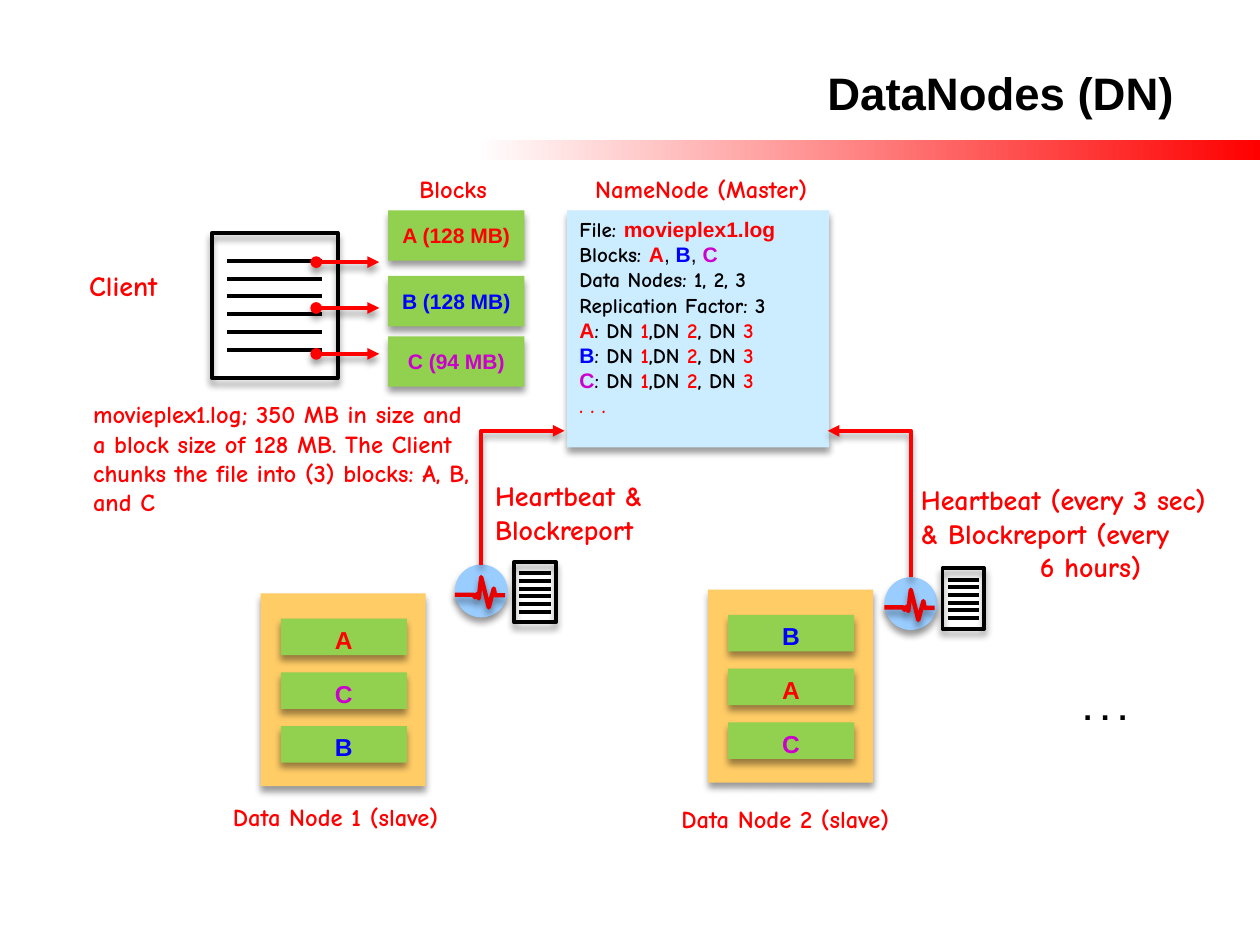
from lxml import etree
from pptx import Presentation
from pptx.dml.color import RGBColor
from pptx.enum.shapes import MSO_CONNECTOR, MSO_SHAPE
from pptx.enum.text import MSO_ANCHOR, PP_ALIGN
from pptx.oxml.ns import qn
from pptx.util import Pt

RECT, CIRCLE = MSO_SHAPE.RECTANGLE, MSO_SHAPE.FLOWCHART_CONNECTOR
STRAIGHT = MSO_CONNECTOR.STRAIGHT
TOP, MIDDLE = MSO_ANCHOR.TOP, MSO_ANCHOR.MIDDLE
LEFT, CENTER, RIGHT = PP_ALIGN.LEFT, PP_ALIGN.CENTER, PP_ALIGN.RIGHT
BLACK, WHITE = RGBColor(0, 0, 0), RGBColor(255, 255, 255)
RED, BLUE = RGBColor(255, 0, 0), RGBColor(0, 0, 255)
PURPLE, PULSE_RED = RGBColor(0xCC, 0, 0xCC), RGBColor(0xE7, 0, 0)
GREEN, ORANGE = RGBColor(0x92, 0xD0, 0x50), RGBColor(0xFF, 0xCC, 0x66)
PALE_BLUE, SKY = RGBColor(0xCC, 0xEC, 0xFF), RGBColor(0x99, 0xCC, 0xFF)
SANS, COMIC = "Arial", "Comic Neue"

# Content: a run is (text, colour, font, bold), missing parts take the defaults
BLOCK_COLORS = {"A": RED, "B": BLUE, "C": PURPLE}
BLOCKS = [("A (128 MB)", RED, 120.2), ("B (128 MB)", BLUE, 157.7),
          ("C (94 MB)", PURPLE, 192.2)]


def letter(name):
    return (name, BLOCK_COLORS[name], SANS)


COMMA = (", ", BLACK, SANS, False)
NAME_NODE = [
    [("File: ",), ("movieplex1.log", RED, SANS)],
    [("Blocks: ",), letter("A"), COMMA, letter("B"), COMMA, letter("C")],
    [("Data Nodes: 1, 2, 3",)],
    [("Replication Factor: 3",)],
    *[[letter(b), (": DN ",), ("1", RED), (",DN ",), ("2", RED),
       (", DN ",), ("3", RED)] for b in "ABC"],
    [(". . .", RED)],
]
# Text, left, top, width, height, size, alignment
LABELS = [
    (["Client"], 43.9, 149.8, 60, 46, 16, LEFT),
    (["Blocks"], 232.6, 95.8, 62, 24.5, 14, LEFT),
    (["NameNode (Master)"], 324, 95.8, 153.4, 24.5, 14, CENTER),
    (["movieplex1.log; 350 MB in size and a block size of 128 MB. The Client "
      "chunks the file into (3) blocks: A, B, and C"],
     46.1, 224.6, 235.4, 74.9, 14, LEFT),
    (["Heartbeat &", "Blockreport"], 275.8, 270, 104.4, 46, 16, LEFT),
    (["Heartbeat (every 3 sec)", "& Blockreport (every", "6 hours)"],
     519.1, 272.2, 190, 65.5, 16, LEFT),
]
# Each data node: name, box, caption, monitor, report page, arrow end x
DATA_NODES = [
    ("Data Node 1 (slave)", "ACB", (149, 339.1), (126, 455),
     (259.9, 322.6), (293.8, 321.1), 322.6),
    ("Data Node 2 (slave)", "BAC", (404.6, 337), (382.3, 455.8),
     (505.4, 329.8), (538.6, 324.7), 473),
]
PULSE = [(0, 17.3), (10.8, 17.3), (11.5, 18.7), (12.6, 16.9), (13.7, 19.4),
         (15.1, 7.2), (19.4, 24.5), (22.3, 13.7), (23, 17.6), (28.8, 17.6)]
ARROW_Y = 246.2

prs = Presentation()
prs.slide_width, prs.slide_height = Pt(720), Pt(540)
s = prs.slides.add_slide(prs.slide_layouts[5])


def set_effect(sp, shadow):
    """Give a shape a soft drop shadow, or none at all."""
    effects = etree.SubElement(sp._element.spPr, qn("a:effectLst"))
    if shadow:
        outer = etree.SubElement(effects, qn("a:outerShdw"), blurRad="50800",
                                 dist="38100", dir="5400000", rotWithShape="0")
        clr = etree.SubElement(outer, qn("a:srgbClr"), val="000000")
        etree.SubElement(clr, qn("a:alpha"), val="40000")


def set_line(sp, color, width, **ends):
    sp.line.color.rgb = color
    sp.line.width = Pt(width)
    ln = sp.line._get_or_add_ln()
    for end, kind in ends.items():
        etree.SubElement(ln, qn("a:" + end), type=kind, w="med", len="med")


def write(sp, paragraphs, size=14, color=BLACK, font=COMIC, align=LEFT,
          anchor=TOP):
    tf = sp.text_frame
    tf.word_wrap, tf.vertical_anchor = True, anchor
    for i, runs in enumerate(paragraphs):
        p = tf.paragraphs[0] if i == 0 else tf.add_paragraph()
        p.alignment = align
        p.space_before = Pt(0)
        for run in [(runs,)] if isinstance(runs, str) else runs:
            text, c, f, bold = run + (None, color, font, True)[len(run):]
            r = p.add_run()
            r.text = text
            r.font.size, r.font.bold, r.font.name = Pt(size), bold, f
            r.font.color.rgb = c
    return tf


def label(paragraphs, x, y, w, h, **fmt):
    return write(s.shapes.add_textbox(Pt(x), Pt(y), Pt(w), Pt(h)),
                 paragraphs, **fmt)


def box(x, y, w, h, fill=None, kind=RECT):
    sp = s.shapes.add_shape(kind, Pt(x), Pt(y), Pt(w), Pt(h))
    if fill is None:
        sp.fill.background()
        set_line(sp, BLACK, 2.25)
    else:
        sp.fill.solid()
        sp.fill.fore_color.rgb = fill
        sp.line.fill.background()
    set_effect(sp, True)
    return sp


def line(x1, x2, y, color, shadow=False, **ends):
    cn = s.shapes.add_connector(STRAIGHT, Pt(x1), Pt(y), Pt(x2), Pt(y))
    set_line(cn, color, 2.25, **ends)
    set_effect(cn, shadow)


def polyline(points, color, width, **ends):
    pts = [(Pt(x), Pt(y)) for x, y in points]
    fb = s.shapes.build_freeform(*pts[0])
    fb.add_line_segments(pts[1:], close=False)
    sp = fb.convert_to_shape()
    sp.fill.background()
    set_line(sp, color, width, **ends)
    set_effect(sp, True)


def page(x, y, w, h, inset, first, pitch):
    """A sheet with six lines of writing."""
    box(x, y, w, h)
    for i in range(6):
        line(x + inset, x + w - inset, y + first + i * pitch, BLACK)


# Title and gradient bar
title = s.shapes.title
title.left, title.top, title.width, title.height = (
    Pt(48.2), Pt(36.6), Pt(623.5), Pt(67))
tf = write(title, ["DataNodes (DN)"], size=26, font=SANS, align=RIGHT)
tf.margin_left = tf.margin_right = tf.margin_top = tf.margin_bottom = Pt(0.7)
bar = box(271.4, 79.9, 448.6, 11.5, WHITE)
bar.shadow.inherit = False
bar._element.spPr.find(qn("a:effectLst")).clear()
bar.fill.gradient()
bar.fill.gradient_angle = 0
for stop, c in zip(bar.fill.gradient_stops, (WHITE, RED)):
    stop.color.rgb = c

# Name node
write(box(324, 120.2, 149.8, 135.4, PALE_BLUE), NAME_NODE, size=12)

# Data nodes with their heartbeat arrows
for name, held, (x, y), caption, (mx, my), report, end_x in DATA_NODES:
    box(x, y, 94.3, 110.2, ORANGE)
    for i, b in enumerate(held):
        write(box(x + 11.5, y + 14.4 + i * 30.7, 72, 20.9, GREEN),
              [[letter(b)]], align=CENTER)
    label([name], *caption, 153.4, 24.5, color=RED)
    box(mx, my, 30.2, 30.2, SKY, CIRCLE)
    polyline([(mx + px, my + py) for px, py in PULSE], PULSE_RED, 2.5)
    stem = mx + 15.1
    polyline([(stem, my), (stem, ARROW_Y), (end_x, ARROW_Y)], RED, 2.25,
             tailEnd="triangle")
    page(*report, 23.8, 34.6, inset=2.9, first=6.5, pitch=4.4)

# Client file and its blocks
page(121, 133.2, 72, 82.8, inset=8.8, first=15.8, pitch=10.2)
for i, (text, c, y) in enumerate(BLOCKS):
    line(180.7, 216.7, 149.8 + i * 26.2, RED, True,
         headEnd="oval", tailEnd="triangle")
    write(box(221.8, y, 77.8, 28.8, GREEN), [text], size=12, color=c,
          font=SANS, align=CENTER, anchor=MIDDLE)

# Labels
for text, x, y, w, h, size, align in LABELS:
    tf = label(text, x, y, w, h, size=size, color=RED, align=align)
tf.paragraphs[-1]._p.get_or_add_pPr().set("marL", str(Pt(68)))
label([". . ."], 612, 390.2, 54, 30.2, size=18, font=SANS)

prs.save("out.pptx")
